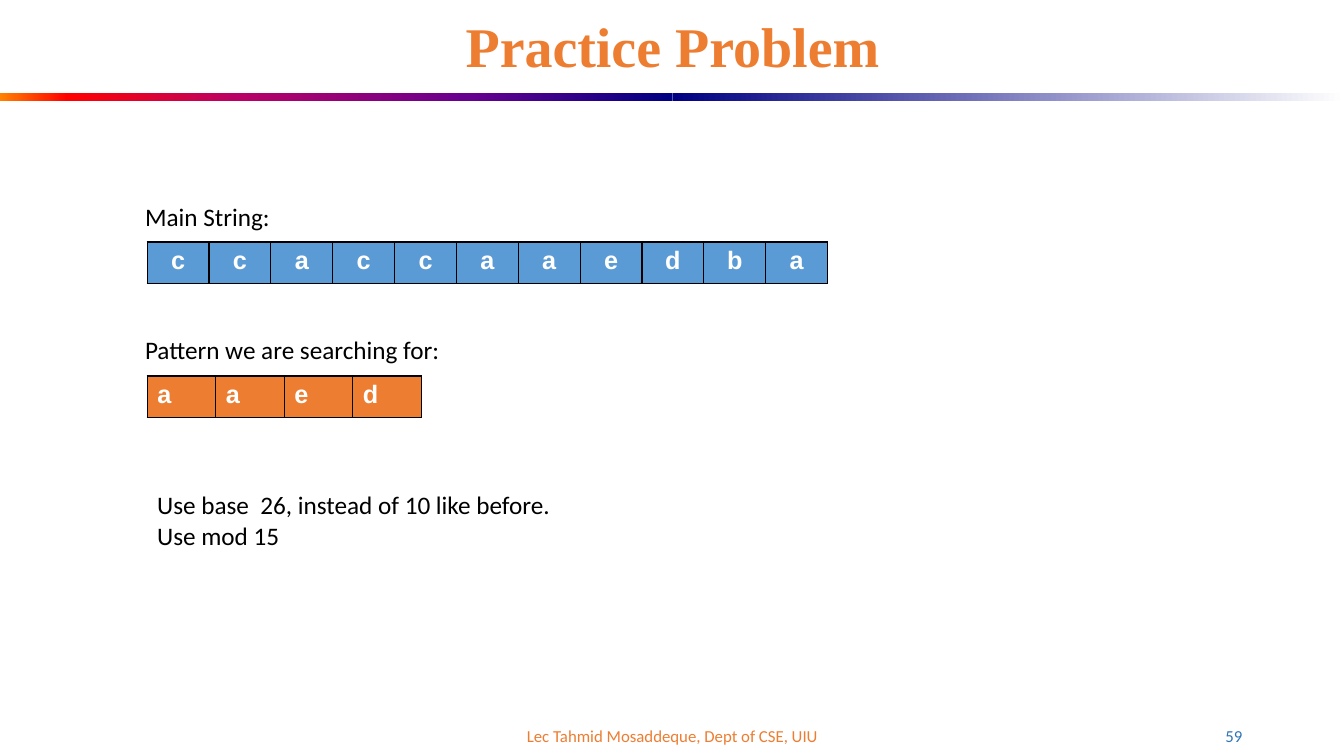
from lxml.etree import SubElement
from pptx import Presentation
from pptx.dml.color import RGBColor
from pptx.enum.shapes import MSO_SHAPE
from pptx.enum.text import MSO_ANCHOR, PP_ALIGN
from pptx.oxml.ns import qn
from pptx.util import Inches, Pt

BLACK = RGBColor(0x00, 0x00, 0x00)
WHITE = RGBColor(0xFF, 0xFF, 0xFF)
ORANGE = RGBColor(0xED, 0x7D, 0x31)
BLUE = RGBColor(0x5B, 0x9B, 0xD5)
DARK_BLUE = RGBColor(0x2E, 0x75, 0xB5)
AMBER = RGBColor(0xFF, 0x82, 0x00)
RED = RGBColor(0xFF, 0x00, 0x00)
CRIMSON = RGBColor(0xBA, 0x00, 0x66)
PURPLE = RGBColor(0x66, 0x00, 0x8F)
NAVY = RGBColor(0x00, 0x00, 0x82)


def write_text(text_frame, text, size=18, font="Calibri", color=BLACK, bold=False,
               align=PP_ALIGN.LEFT, line_spacing=None):
    for index, line in enumerate(text.split("\n")):
        paragraph = text_frame.paragraphs[0] if index == 0 else text_frame.add_paragraph()
        paragraph.alignment = align
        paragraph.line_spacing = line_spacing
        run = paragraph.add_run()
        run.text = line
        run.font.size = Pt(size)
        run.font.name = font
        run.font.bold = bold
        run.font.color.rgb = color


def add_text(slide, text, left, top, width, height, anchor=MSO_ANCHOR.TOP, **text_format):
    box = slide.shapes.add_textbox(Inches(left), Inches(top), Inches(width), Inches(height))
    box.text_frame.word_wrap = True
    box.text_frame.vertical_anchor = anchor
    write_text(box.text_frame, text, **text_format)


def add_gradient_bar(slide, left, stops):
    bar = slide.shapes.add_shape(MSO_SHAPE.RECTANGLE, Inches(left), Inches(0.92),
                                 Inches(6.67), Inches(0.08))
    bar.shadow.inherit = False
    bar.line.fill.background()
    bar.fill.gradient()
    bar.fill.gradient_angle = 0
    stop_list = bar.element.spPr.find(qn("a:gradFill")).find(qn("a:gsLst"))
    for stop in list(stop_list):
        stop_list.remove(stop)
    for percent, color in stops:
        stop = SubElement(stop_list, qn("a:gs"), pos=str(percent * 1000))
        SubElement(stop, qn("a:srgbClr"), val=str(color))


def add_cell_borders(cell):
    properties = cell._tc.get_or_add_tcPr()
    for position, side in enumerate(("a:lnL", "a:lnR", "a:lnT", "a:lnB")):
        border = properties.makeelement(qn(side), {"w": str(Pt(1))})
        fill = SubElement(border, qn("a:solidFill"))
        SubElement(fill, qn("a:srgbClr"), val=str(BLACK))
        properties.insert(position, border)


def add_letter_table(slide, letters, top, width, fill, align):
    table = slide.shapes.add_table(1, len(letters), Inches(1.46), Inches(top),
                                   Inches(width), Inches(0.41)).table
    for cell, letter in zip(table.iter_cells(), letters):
        cell.fill.solid()
        cell.fill.fore_color.rgb = fill
        add_cell_borders(cell)
        write_text(cell.text_frame, letter, font="Arial", color=WHITE, bold=True, align=align)


def main():
    presentation = Presentation()
    presentation.slide_width = Inches(13.33)
    presentation.slide_height = Inches(7.5)
    slide = presentation.slides.add_slide(presentation.slide_layouts[6])

    add_gradient_bar(slide, 0, [(0, AMBER), (10, RED), (35, CRIMSON), (70, PURPLE), (100, NAVY)])
    add_gradient_bar(slide, 6.67, [(0, NAVY), (100, WHITE)])
    add_text(slide, "Lec Tahmid Mosaddeque, Dept of CSE, UIU", 4.42, 7.1, 4.5, 0.4,
             anchor=MSO_ANCHOR.MIDDLE, size=12, color=ORANGE, align=PP_ALIGN.CENTER)
    add_text(slide, "59", 9.42, 7.1, 3, 0.4,
             anchor=MSO_ANCHOR.MIDDLE, size=12, color=DARK_BLUE, align=PP_ALIGN.RIGHT)
    add_text(slide, "Practice Problem", 0.92, 0.16, 11.5, 0.66, anchor=MSO_ANCHOR.MIDDLE,
             size=40, font="Times New Roman", color=ORANGE, bold=True,
             align=PP_ALIGN.CENTER, line_spacing=0.9)

    add_letter_table(slide, "ccaccaaedba", 2.4, 6.75, BLUE, PP_ALIGN.CENTER)
    add_letter_table(slide, "aaed", 3.73, 2.72, ORANGE, PP_ALIGN.LEFT)
    add_text(slide, "Main String:", 1.34, 1.95, 1.45, 0.4)
    add_text(slide, "Pattern we are searching for:", 1.34, 3.27, 3.16, 0.4)
    add_text(slide, "Use base  26, instead of 10 like before.\nUse mod 15", 1.46, 4.81, 4.15, 0.71)

    presentation.save("out.pptx")


if __name__ == "__main__":
    main()
